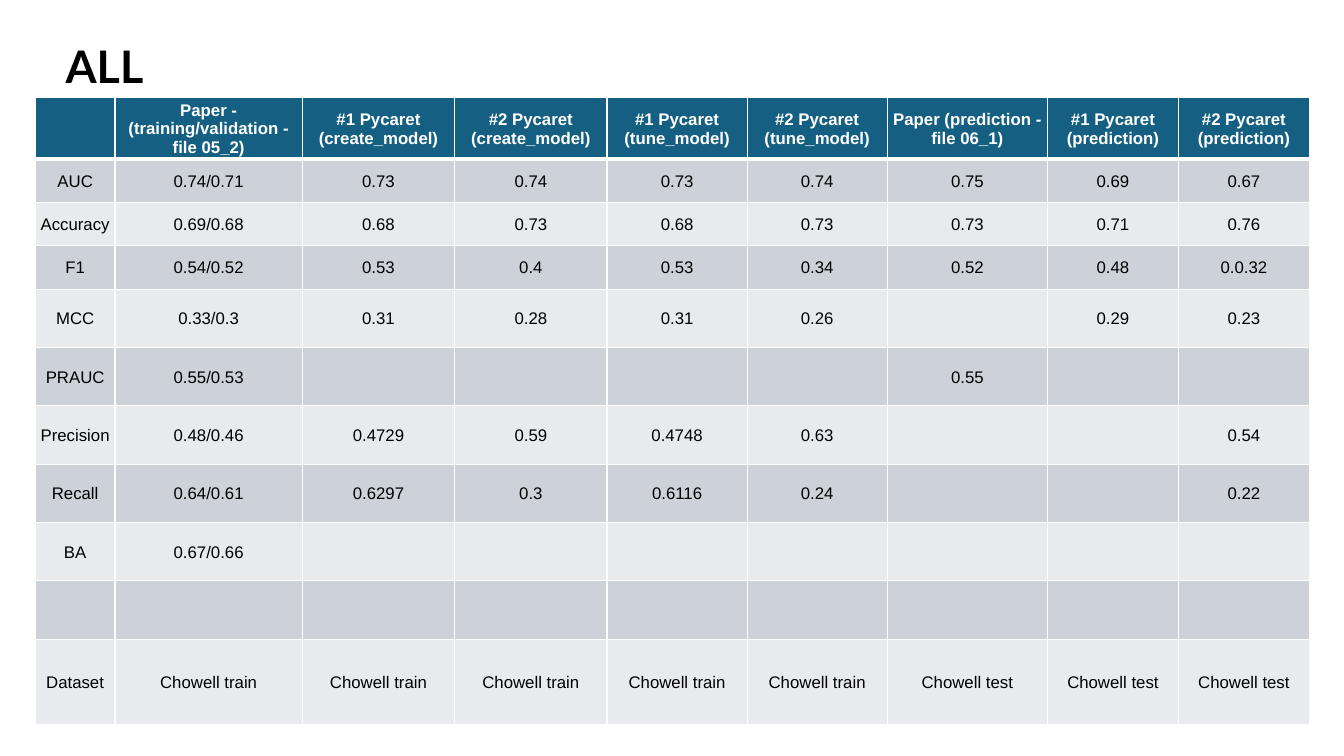
from lxml import etree
from pptx import Presentation
from pptx.dml.color import RGBColor
from pptx.enum.text import MSO_ANCHOR, MSO_AUTO_SIZE, PP_ALIGN
from pptx.oxml.ns import qn
from pptx.util import Cm, Pt

MIDDLE = MSO_ANCHOR.MIDDLE
GROW = MSO_AUTO_SIZE.SHAPE_TO_FIT_TEXT
CENTER, LEFT = PP_ALIGN.CENTER, PP_ALIGN.LEFT

WHITE, BLACK = "FFFFFF", "000000"
HEADER_FILL = "156082"
BAND_FILLS = ("E8EAED", "CCD2D8")

COL_WIDTHS = [2.01, 4.72] + [3.84] * 2 + [3.53] * 2 + [4.04] + [3.3] * 2
ROW_HEIGHTS = [1.09] * 4 + [1.47] * 6 + [2.16]

SCORES = [
    ["", "Paper - (training/validation - file 05_2)",
     "#1 Pycaret (create_model)", "#2 Pycaret (create_model)",
     "#1 Pycaret (tune_model)", "#2 Pycaret (tune_model)",
     "Paper (prediction - file 06_1)",
     "#1 Pycaret (prediction)", "#2 Pycaret (prediction)"],
    ["AUC", "0.74/0.71", "0.73", "0.74", "0.73", "0.74", "0.75", "0.69", "0.67"],
    ["Accuracy", "0.69/0.68", "0.68", "0.73", "0.68", "0.73", "0.73", "0.71", "0.76"],
    ["F1", "0.54/0.52", "0.53", "0.4", "0.53", "0.34", "0.52", "0.48", "0.0.32"],
    ["MCC", "0.33/0.3", "0.31", "0.28", "0.31", "0.26", "", "0.29", "0.23"],
    ["PRAUC", "0.55/0.53", "", "", "", "", "0.55", "", ""],
    ["Precision", "0.48/0.46", "0.4729", "0.59", "0.4748", "0.63", "", "", "0.54"],
    ["Recall", "0.64/0.61", "0.6297", "0.3", "0.6116", "0.24", "", "", "0.22"],
    ["BA", "0.67/0.66"] + [""] * 7,
    [""] * 9,
    ["Dataset"] + ["Chowell train"] * 5 + ["Chowell test"] * 3,
]


def rgb(color):
    return RGBColor.from_string(color)


def add_run(p, text, font, size, color, bold):
    r = p.add_run()
    r.text = text
    r.font.name = font
    r.font.size = Pt(size)
    r.font.bold = bold
    r.font.color.rgb = rgb(color)


def set_borders(cell, top, bottom):
    tcPr = cell._tc.get_or_add_tcPr()
    widths = {"a:lnL": 1, "a:lnR": 1, "a:lnT": top, "a:lnB": bottom}
    for i, (tag, width) in enumerate(widths.items()):
        ln = etree.Element(qn(tag), w=str(Pt(width)))
        fill = etree.SubElement(ln, qn("a:solidFill"))
        etree.SubElement(fill, qn("a:srgbClr"), val=WHITE)
        tcPr.insert(i, ln)


def fill_cell(cell, text, row):
    header = row == 0
    cell.fill.solid()
    cell.fill.fore_color.rgb = rgb(HEADER_FILL if header else BAND_FILLS[row % 2])
    set_borders(cell, 3 if row == 1 else 1, 3 if header else 1)
    cell.vertical_anchor = MIDDLE
    cell.margin_left = cell.margin_right = cell.margin_top = Cm(0.03)
    cell.margin_bottom = 0
    p = cell.text_frame.paragraphs[0]
    p.alignment = CENTER
    if text:
        add_run(p, text, "Arial", 12, WHITE if header else BLACK, header)


def add_title(s, text):
    sp = s.shapes.title
    sp.left, sp.top, sp.width, sp.height = Cm(1.4), Cm(0.84), Cm(23.5), Cm(1.63)
    tf = sp.text_frame
    tf.word_wrap = True
    tf.auto_size = GROW
    tf.vertical_anchor = MIDDLE
    p = tf.paragraphs[0]
    p.alignment = LEFT
    add_run(p, text, "Lato", 32, BLACK, True)


def add_score_table(s):
    frame = s.shapes.add_table(len(SCORES), len(COL_WIDTHS),
                               Cm(0.89), Cm(2.46), Cm(32.05), Cm(15.77))
    table = frame.table
    for col, width in zip(table.columns, COL_WIDTHS):
        col.width = Cm(width)
    for row, height in zip(table.rows, ROW_HEIGHTS):
        row.height = Cm(height)
    frame.height = Cm(15.77)
    for i, values in enumerate(SCORES):
        for j, text in enumerate(values):
            fill_cell(table.cell(i, j), text, i)


def main():
    prs = Presentation()
    prs.slide_width, prs.slide_height = Cm(33.87), Cm(19.05)
    s = prs.slides.add_slide(prs.slide_layouts[5])
    add_title(s, "ALL")
    add_score_table(s)
    prs.save("out.pptx")


if __name__ == "__main__":
    main()
